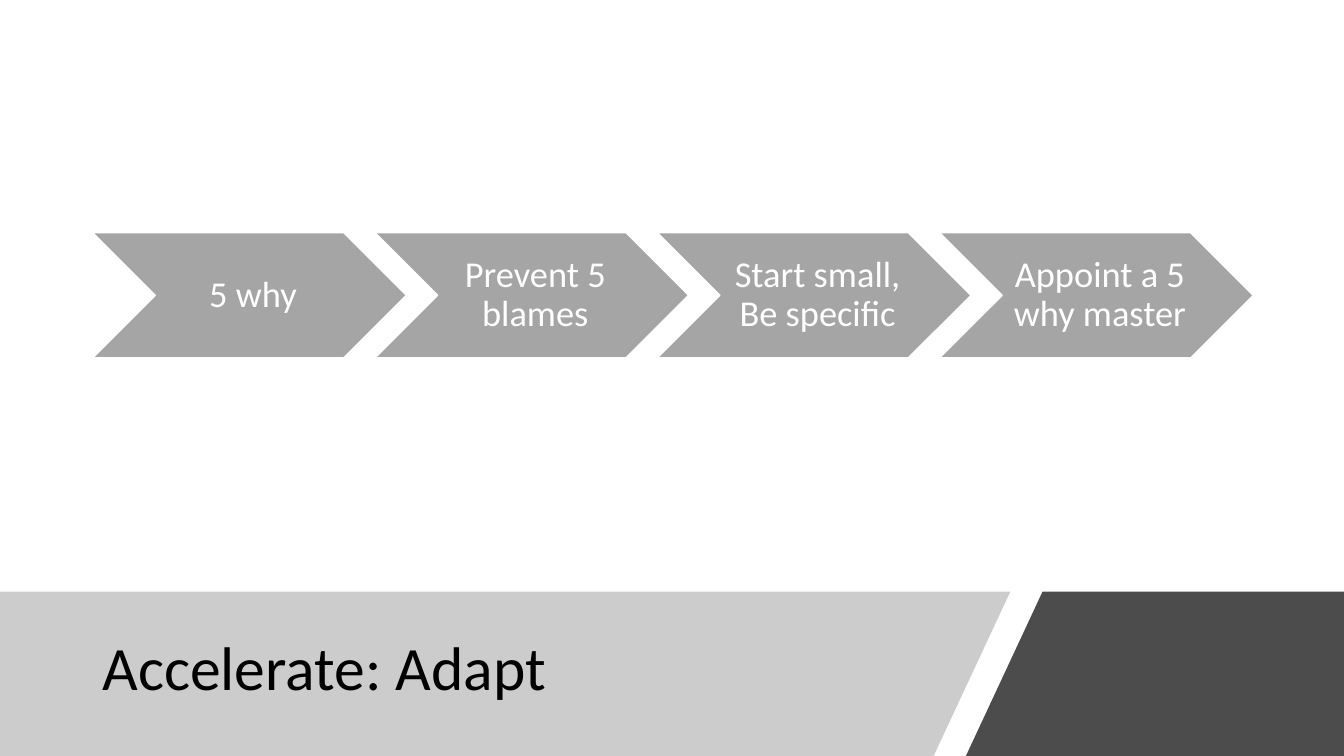
from lxml.etree import SubElement
from pptx import Presentation
from pptx.dml.color import RGBColor
from pptx.enum.shapes import MSO_SHAPE
from pptx.enum.text import MSO_ANCHOR, PP_ALIGN
from pptx.oxml.ns import qn
from pptx.util import Inches, Pt

# Content
TITLE = "Accelerate: Adapt"
STEPS = ["5 why", "Prevent 5 blames", "Start small, Be specific", "Appoint a 5 why master"]

# Look
FONT = "Calibri"
COLORS = {"band": "808080", "corner": "000000", "title": "000000",
          "step": "A5A5A5", "white": "FFFFFF"}
BAND_TOP, BAND_BOTTOM = 5.87, 7.5
# Outline points in inches, fill colour, opacity in percent
BANDS = [
    ([(0, BAND_TOP), (10.02, BAND_TOP), (9.26, BAND_BOTTOM), (0, BAND_BOTTOM)], "band", 40),
    ([(10.34, BAND_TOP), (13.33, BAND_TOP), (13.33, BAND_BOTTOM), (9.58, BAND_BOTTOM)],
     "corner", 70),
]
STEP_LEFT, STEP_TOP, STEP_WIDTH, STEP_HEIGHT = 0.92, 2.31, 3.11, 1.24
STEP_PITCH = 2.8


def color(name):
    return RGBColor.from_string(COLORS[name])


def fill_shape(shape, name):
    shape.shadow.inherit = False
    shape.fill.solid()
    shape.fill.fore_color.rgb = color(name)


def add_band(page, points, name, opacity):
    corners = [(Inches(x), Inches(y)) for x, y in points]
    builder = page.shapes.build_freeform(*corners[0])
    builder.add_line_segments(corners[1:], close=True)
    band = builder.convert_to_shape()
    fill_shape(band, name)
    band.line.fill.background()
    shade = band._element.spPr.find(qn("a:solidFill"))[0]
    SubElement(shade, qn("a:alpha")).set("val", str(opacity * 1000))


def write(shape, text, size, name, align):
    frame = shape.text_frame
    frame.text = text
    frame.word_wrap = True
    frame.vertical_anchor = MSO_ANCHOR.MIDDLE
    para = frame.paragraphs[0]
    para.alignment = align
    para.line_spacing = 0.9
    font = para.runs[0].font
    font.name, font.size, font.color.rgb = FONT, Pt(size), color(name)
    return frame


def add_step(page, index, text):
    step = page.shapes.add_shape(
        MSO_SHAPE.CHEVRON, Inches(STEP_LEFT + index * STEP_PITCH), Inches(STEP_TOP),
        Inches(STEP_WIDTH), Inches(STEP_HEIGHT))
    fill_shape(step, "step")
    step.line.color.rgb = color("white")
    step.line.width = Pt(1)
    frame = write(step, text, 26, "white", PP_ALIGN.CENTER)
    frame.margin_left = Inches(0.11)
    frame.margin_right = frame.margin_top = frame.margin_bottom = Inches(0.04)


def main():
    deck = Presentation()
    deck.slide_width, deck.slide_height = Inches(13.33), Inches(7.5)
    page = deck.slides.add_slide(deck.slide_layouts[6])

    # Bottom bands and title
    for points, name, opacity in BANDS:
        add_band(page, points, name, opacity)
    title = page.shapes.add_textbox(Inches(0.92), Inches(6.05), Inches(8.44), Inches(1.2))
    write(title, TITLE, 44, "title", PP_ALIGN.LEFT)

    # Row of process steps
    for index, text in enumerate(STEPS):
        add_step(page, index, text)

    deck.save("out.pptx")


if __name__ == "__main__":
    main()
